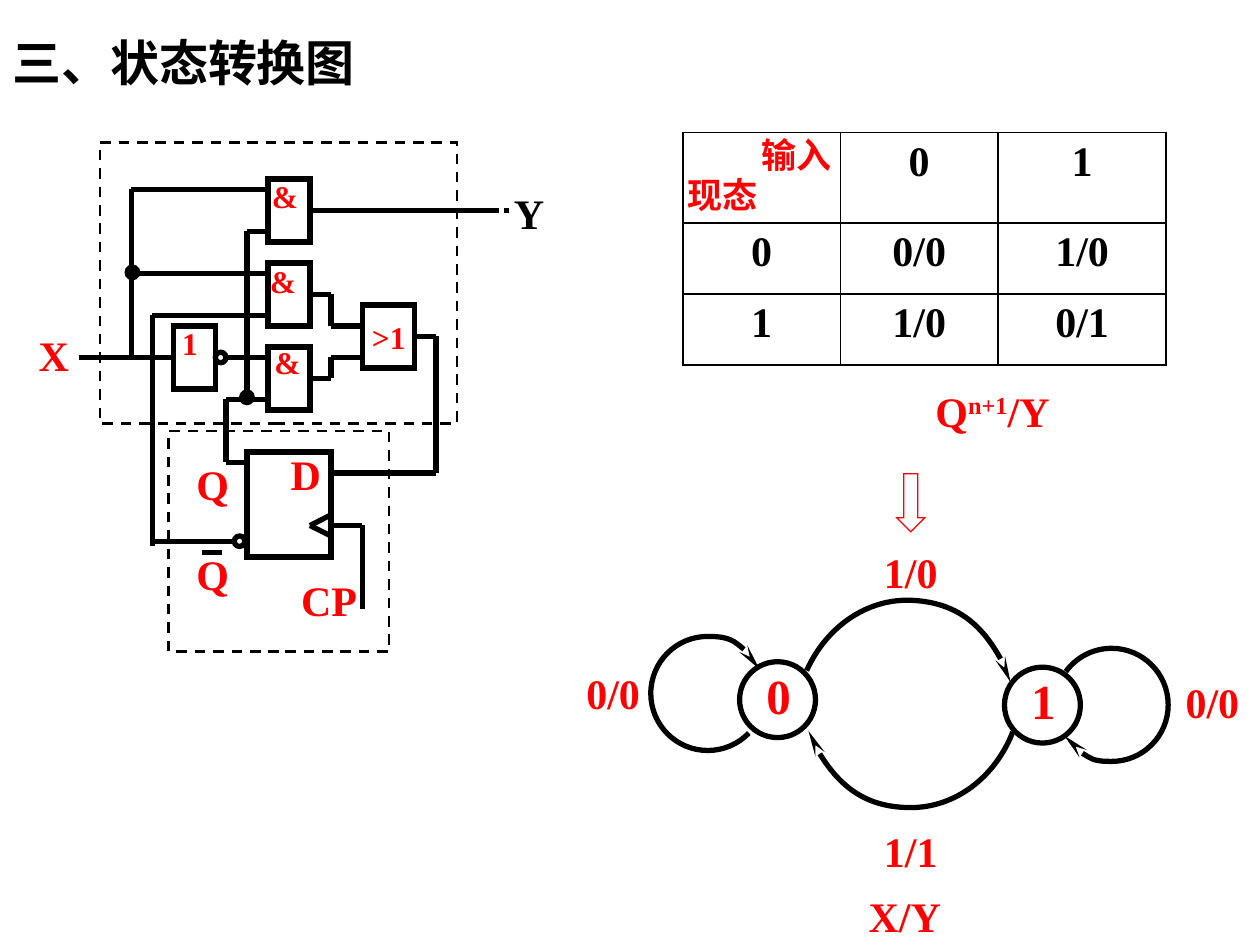
from itertools import pairwise
from math import cos, radians, sin, tan

from lxml.etree import SubElement
from pptx import Presentation
from pptx.dml.color import RGBColor
from pptx.enum.dml import MSO_LINE
from pptx.enum.shapes import MSO_CONNECTOR, MSO_SHAPE
from pptx.enum.text import MSO_ANCHOR, PP_ALIGN
from pptx.oxml.ns import qn
from pptx.util import Cm, Pt

BLACK = RGBColor(0x00, 0x00, 0x00)
RED = RGBColor(0xFF, 0x00, 0x00)
WHITE = RGBColor(0xFF, 0xFF, 0xFF)
LATIN, CHINESE = "Times New Roman", "Noto Sans CJK SC"
LEFT, CENTER = PP_ALIGN.LEFT, PP_ALIGN.CENTER

# Circuit, in grid steps of a twelfth of an inch: left, top, width, height
GRID, GRID_LEFT, GRID_TOP = 2.54 / 12, 0.11, 0.01
FRAMES = [(9, 13.5, 34, 26.8), (15.55, 41, 21, 21)]
GATES = [(25, 17, 4, 6), (25, 25, 4, 6), (25, 33, 4, 6), (16, 31, 4, 6), (23, 43, 8, 10)]
OR_GATE = (34, 29, 5, 6)
OR_STROKE = [(36.5, 32.7), (34.9, 33.7)]
WIRES = [
    [(7, 34), (16, 34)],                          # input X
    [(12, 34), (12, 18), (25, 18)],
    [(12, 26), (25, 26)],
    [(21, 34), (25, 34)],                         # inverter output
    [(25, 30), (14, 30), (14, 52)],               # inverted Q feedback
    [(14, 51.5), (22, 51.5)],
    [(25, 22), (23, 22), (23, 38)],               # Q feedback
    [(25, 38), (21, 38), (21, 44), (23, 44)],
    [(29, 20), (48, 20)],                         # output Y
    [(29, 28), (31, 28), (31, 31), (34, 31)],     # AND gates to OR gate
    [(29, 36), (31, 36), (31, 34), (34, 34)],
    [(39, 32), (41, 32), (41, 45), (31, 45)],     # OR gate to D
    [(31, 50), (34, 50), (34, 58)],               # clock
    [(31, 49), (29, 50), (31, 51)],
    [(18.7, 52.6), (20.6, 52.6)],                 # bar over Q
]
# Centre, fill
NODES = [((20.5, 34), None), ((22.3, 51.5), None),
         ((23, 37.8), BLACK), ((12.1, 25.9), BLACK)]

# Text, left, top, width (cm), size, alignment
RED_LABELS = [
    ("X", 0.53, 6.52, 1.47, 24, LEFT),
    ("CP", 5.82, 11.45, 1.65, 24, LEFT),
    ("D", 5.61, 8.91, 1.12, 24, LEFT),
    ("Q", 3.71, 9.12, 1.17, 24, LEFT),
    ("Q", 3.71, 10.93, 1.17, 24, LEFT),
    ("&", 5.23, 3.44, 1.52, 18, LEFT),
    ("&", 5.19, 5.16, 1.52, 18, LEFT),
    ("&", 5.28, 6.79, 1.52, 18, LEFT),
    ("1", 3.42, 6.4, 1.52, 18, LEFT),
    ("现态", 12.93, 3.38, 3.28, 20, CENTER),
    ("输入", 14.94, 2.57, 2.24, 20, CENTER),
    ("1/0", 17.57, 10.9, 2.59, 24, LEFT),
    ("0/0", 11.57, 13.34, 2.59, 24, LEFT),
    ("0/0", 23.65, 13.51, 2.59, 24, LEFT),
    ("1/1", 17.57, 16.51, 2.59, 24, LEFT),
    ("X/Y", 16.31, 17.83, 3.86, 24, CENTER),
]

TABLE_ROWS = [["", "0", "1"], ["0", "0/0", "1/0"], ["1", "1/0", "0/1"]]
COLUMN_WIDTHS = [3.17, 3.18, 3.39]
ROW_HEIGHTS = [1.83, 1.43, 1.43]

# State diagram, in cm
STATES = [("0", 14.91, 13.34), ("1", 20.25, 13.45)]
STATE_SIZE = 1.53
# Centre, radii, start and end angle (clockwise from the right), tilt
TRANSITIONS = [
    ((14.27, 13.98), (1.15, 1.15), 44, 335, 0),
    ((22.41, 14.21), (1.14, 1.14), 216, 507, 0),
    ((18.36, 13.71), (2.25, 2.57), 24, 156.5, 0),
    ((18.26, 14.67), (2.25, 2.57), 204, 336.5, 3),
]

presentation = Presentation()
presentation.slide_width, presentation.slide_height = Cm(25.4), Cm(19.05)
slide = presentation.slides.add_slide(presentation.slide_layouts[6])
shapes = slide.shapes


def on_grid(x, y):
    return Cm(GRID_LEFT + x * GRID), Cm(GRID_TOP + y * GRID)


def grid_box(left, top, width, height):
    return *on_grid(left, top), Cm(width * GRID), Cm(height * GRID)


def style_paragraph(paragraph, size, color=RED, align=LEFT, font=LATIN):
    paragraph.alignment = align
    paragraph.font.name, paragraph.font.size = font, Pt(size)
    paragraph.font.bold = True
    paragraph.font.color.rgb = color
    SubElement(paragraph.font._rPr, qn("a:ea"), typeface=CHINESE)


def outline(shape, width=3, color=BLACK, fill=None):
    shape.shadow.inherit = False
    if fill is None:
        shape.fill.background()
    else:
        shape.fill.solid()
        shape.fill.fore_color.rgb = fill
    shape.line.color.rgb = color
    shape.line.width = Pt(width)
    SubElement(shape.line._get_or_add_ln(), qn("a:miter"), lim="800000")
    return shape


def add_outline(kind, box, **style):
    return outline(shapes.add_shape(kind, *box), **style)


def add_label(text, left, top, width, size, align=LEFT, color=RED, font=LATIN):
    height = Pt(size * 1.2 + 7.2)
    label = shapes.add_textbox(Cm(left), Cm(top), Cm(width), height)
    label.text_frame.word_wrap = True
    paragraph = label.text_frame.paragraphs[0]
    paragraph.text = text
    style_paragraph(paragraph, size, color, align, font)
    return label


def add_wire(start, end, color=BLACK, width=3):
    wire = shapes.add_connector(MSO_CONNECTOR.STRAIGHT, *on_grid(*start), *on_grid(*end))
    wire.line.color.rgb, wire.line.width = color, Pt(width)
    SubElement(wire._element.spPr, qn("a:effectLst"))


def add_transition(centre, radii, start, end, tilt):
    """Draw an elliptical arc as Bezier curves that meet where it crosses its axes."""
    turn = radians(tilt)

    def place(x, y):
        x, y = radii[0] * x, radii[1] * y
        return (Cm(centre[0] + x * cos(turn) - y * sin(turn)),
                Cm(centre[1] + x * sin(turn) + y * cos(turn)))

    stops = [start, *(angle for angle in range(0, 540, 90) if start < angle < end), end]
    points = []
    for first, last in pairwise(map(radians, stops)):
        pull = 4 / 3 * tan((last - first) / 4)
        points += [place(cos(first) - pull * sin(first), sin(first) + pull * cos(first)),
                   place(cos(last) + pull * sin(last), sin(last) - pull * cos(last)),
                   place(cos(last), sin(last))]
    builder = shapes.build_freeform(*place(cos(radians(start)), sin(radians(start))))
    builder.add_line_segments(points, close=False)
    arc = outline(builder.convert_to_shape())

    # Every three line points become one curve
    outline_path = next(arc._element.iter(qn("a:path")))
    lines = outline_path.findall(qn("a:lnTo"))
    for index in range(0, len(lines), 3):
        curve = SubElement(outline_path, qn("a:cubicBezTo"))
        for line in lines[index:index + 3]:
            curve.append(line[0])
            outline_path.remove(line)
    SubElement(arc.line._get_or_add_ln(), qn("a:tailEnd"), type="stealth", w="sm", len="lg")


def add_borders(cell):
    properties = cell._tc.get_or_add_tcPr()
    for index, side in enumerate(("lnL", "lnR", "lnT", "lnB")):
        border = SubElement(properties, qn(f"a:{side}"), w=str(Pt(1)))
        fill = SubElement(border, qn("a:solidFill"))
        SubElement(fill, qn("a:srgbClr"), val=str(BLACK))
        properties.insert(index, border)


# Title
add_label("三、状态转换图", 0, 0.53, 21.18, 28, color=BLACK, font=CHINESE)

# Circuit
for frame_box in FRAMES:
    frame_shape = add_outline(MSO_SHAPE.RECTANGLE, grid_box(*frame_box), width=1.5)
    frame_shape.line.dash_style = MSO_LINE.DASH
for gate in GATES:
    add_outline(MSO_SHAPE.RECTANGLE, grid_box(*gate))
add_wire(*OR_STROKE, color=WHITE, width=1.5)
or_frame = add_outline(MSO_SHAPE.RECTANGLE, grid_box(*OR_GATE)).text_frame
or_frame.margin_left = or_frame.margin_right = 0
or_frame.vertical_anchor, or_frame.word_wrap = MSO_ANCHOR.MIDDLE, False
or_frame.text = ">1"
style_paragraph(or_frame.paragraphs[0], 18, align=CENTER)
for wire_points in WIRES:
    for segment in pairwise(wire_points):
        add_wire(*segment)
for (x, y), node_fill in NODES:
    add_outline(MSO_SHAPE.OVAL, grid_box(x - 0.5, y - 0.5, 1, 1), fill=node_fill)
output = add_label("Y", 10.11, 3.66, 1.12, 24, color=BLACK)
output.line.color.rgb, output.line.width = WHITE, Pt(3)

# State table
table = shapes.add_table(3, 3, Cm(13.77), Cm(2.67), Cm(sum(COLUMN_WIDTHS)),
                         Cm(sum(ROW_HEIGHTS))).table
table.first_row = table.horz_banding = False
for column, width in zip(table.columns, COLUMN_WIDTHS):
    column.width = Cm(width)
for row, height, texts in zip(table.rows, ROW_HEIGHTS, TABLE_ROWS):
    row.height = Cm(height)
    for cell, text in zip(row.cells, texts):
        cell.text = text
        style_paragraph(cell.text_frame.paragraphs[0], 24, BLACK, CENTER)
        cell.fill.background()
        add_borders(cell)

# Labels, and the table caption with its superscript
for red_label in RED_LABELS:
    add_label(*red_label)
caption = add_label("Q", 18.08, 7.64, 3.86, 24, CENTER).text_frame.paragraphs[0]
superscript = caption.add_run()
superscript.text = "n+1"
superscript.font._element.set("baseline", "30000")
caption.add_run().text = "/Y"

# State diagram
add_outline(MSO_SHAPE.DOWN_ARROW, (Cm(18.08), Cm(9.55), Cm(0.56), Cm(1.17)),
            width=0.75, color=RED)
for name, left, top in STATES:
    add_outline(MSO_SHAPE.OVAL, (Cm(left), Cm(top), Cm(STATE_SIZE), Cm(STATE_SIZE)))
    add_label(name, left + 0.02, top - 0.05, STATE_SIZE, 28, CENTER)
for transition in TRANSITIONS:
    add_transition(*transition)

presentation.save("out.pptx")
